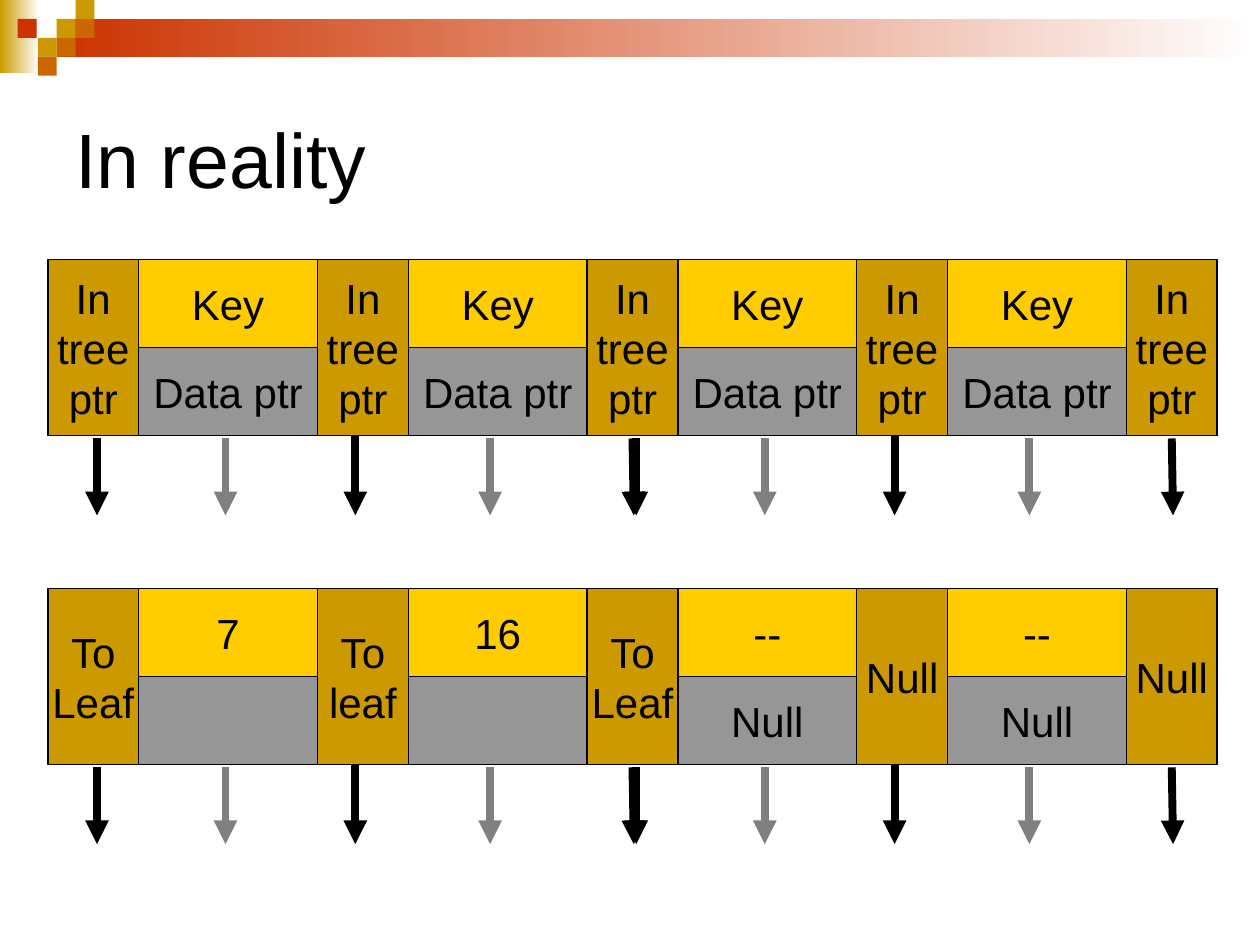
from lxml import etree
from pptx import Presentation
from pptx.dml.color import RGBColor
from pptx.enum.shapes import MSO_CONNECTOR, MSO_SHAPE
from pptx.enum.text import MSO_ANCHOR, PP_ALIGN
from pptx.oxml.ns import qn
from pptx.util import Inches, Pt

RECT = MSO_SHAPE.RECTANGLE
LINE = MSO_CONNECTOR.STRAIGHT
MIDDLE = MSO_ANCHOR.MIDDLE
LEFT, CENTER = PP_ALIGN.LEFT, PP_ALIGN.CENTER

COLORS = {
    "black": "000000", "white": "FFFFFF", "gold": "CC9900",
    "yellow": "FFCC00", "gray": "969696", "dark": "808080",
    "red": "CC3300", "orange": "CC6600",
}


def color(name):
    return RGBColor.from_string(COLORS[name])


def write(frame, text, size=24, align=CENTER, wrap=False, ink="black", font="Arial"):
    """Fill a frame: \\n starts a paragraph, \\v breaks a line."""
    frame.text = text
    frame.word_wrap = wrap
    frame.vertical_anchor = MIDDLE
    for para in frame.paragraphs:
        para.alignment = align
        para.font.size = Pt(size)
        para.font.name = font
        para.font.color.rgb = color(ink)


class Board:
    def __init__(self, slide):
        self.slide = slide
        self.shapes = slide.shapes

    def group(self):
        self.shapes = self.slide.shapes.add_group_shape().shapes

    def title(self, text, *area):
        box = self.slide.shapes.add_textbox(*map(Inches, area))
        write(box.text_frame, text, size=44, align=LEFT, wrap=True)

    def rect(self, x, y, w, h, fill):
        shape = self.shapes.add_shape(RECT, *map(Inches, (x, y, w, h)))
        shape.shadow.inherit = False
        shape.fill.solid()
        shape.fill.fore_color.rgb = color(fill)
        shape.line.fill.background()
        return shape

    def fade(self, x, y, w, h, start):
        fill = self.rect(x, y, w, h, start).fill
        fill.gradient()
        fill.gradient_angle = 0
        for stop, name in zip(fill.gradient_stops, (start, "white")):
            stop.color.rgb = color(name)

    def cell(self, x, y, w, h, fill, text):
        shape = self.rect(x, y, w, h, fill)
        shape.line.color.rgb = color("black")
        shape.line.width = Pt(0.75)
        if text:
            write(shape.text_frame, text)

    def arrow(self, x1, y1, x2, y2, ink):
        link = self.shapes.add_connector(LINE, *map(Inches, (x1, y1, x2, y2)))
        link.line.color.rgb = color(ink)
        link.line.width = Pt(4.5)
        props = link.element.spPr
        etree.SubElement(props.find(qn("a:ln")), qn("a:tailEnd"), type="triangle")
        etree.SubElement(props, qn("a:effectLst"))


# Node geometry: pointer and key columns alternate
START, PTR, KEY, HALF = 0.38, 0.72, 1.42, 0.7
STEP = PTR + KEY

# Arrows in one half of a node: start x, end x, start below node top, colour
ARROWS = [
    (0.77, 0.77, 1.42, "black"),
    (1.79, 1.79, 1.42, "dark"),
    (2.82, 2.82, 1.4, "black"),
    (3.89, 3.89, 1.42, "dark"),
    (5.02, 5.03, 1.42, "black"),
]


def node(board, top, ptrs, keys, data):
    board.group()
    for i, text in enumerate(ptrs):
        board.cell(START + i * STEP, top, PTR, 2 * HALF, "gold", text)
    for i, (key, item) in enumerate(zip(keys, data)):
        x = START + PTR + i * STEP
        board.cell(x, top, KEY, HALF, "yellow", key)
        board.cell(x, top + HALF, KEY, HALF, "gray", item)
    for shift in (0, 2 * STEP):
        for x1, x2, drop, ink in ARROWS:
            board.arrow(x1 + shift, top + drop, x2 + shift, top + 2.03, ink)


def main():
    deck = Presentation()
    deck.slide_width, deck.slide_height = Inches(10), Inches(7.5)
    board = Board(deck.slides.add_slide(deck.slide_layouts[6]))

    # Header band with small squares
    board.group()
    board.fade(0, 0, 0.31, 0.58, "gold")
    board.fade(0.45, 0.15, 9.55, 0.3, "red")
    for x, y, fill in [
        (0.45, 0.15, "gold"), (0.6, 0, "gold"), (0.6, 0.15, "orange"),
        (0.3, 0.3, "gold"), (0.14, 0.15, "red"), (0.45, 0.3, "orange"),
        (0.3, 0.45, "orange"),
    ]:
        board.rect(x, y, 0.15, 0.15, fill)

    board.title("In reality", 0.5, 0.5, 9, 1.5)

    # Node layout, then a sample node
    node(board, 2.06, ["In\vtree\vptr"] * 5, ["Key"] * 4, ["Data ptr"] * 4)
    node(board, 4.67, ["To\nLeaf", "To\vleaf", "To\nLeaf", "Null", "Null"],
         ["7", "16", "--", "--"], ["", "", "Null", "Null"])

    deck.save("out.pptx")


if __name__ == "__main__":
    main()
